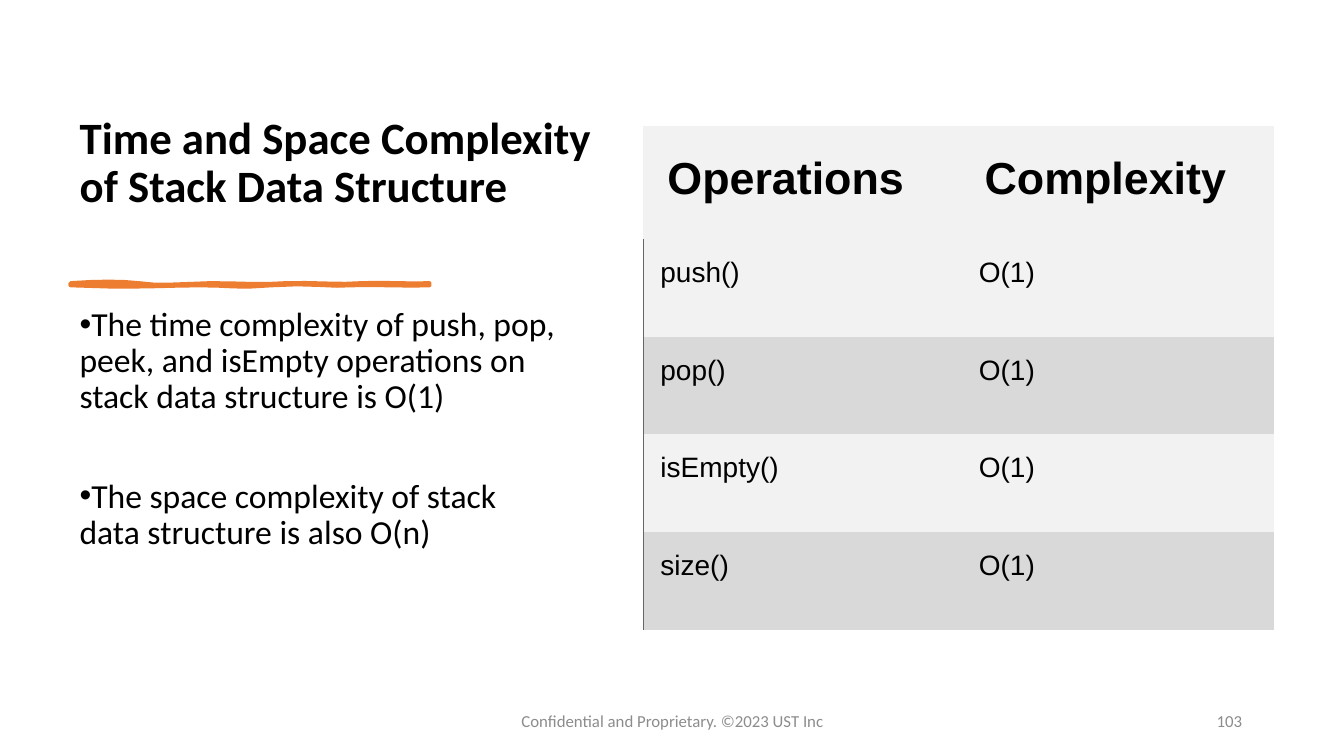
"""Build the slide on the time and space complexity of a stack."""
from dataclasses import dataclass

from lxml.etree import SubElement
from pptx import Presentation
from pptx.dml.color import RGBColor
from pptx.enum.text import MSO_ANCHOR, MSO_AUTO_SIZE, PP_ALIGN
from pptx.oxml.ns import qn
from pptx.util import Inches, Pt

COLORS = {"text": "000000", "muted": "8C8C8C", "accent": "ED7D31",
          "light": "F2F2F2", "dark": "D9D9D9", "border": "666666"}
SLIDE_W, SLIDE_H = Inches(13.33), Inches(7.5)
NO_GRID_STYLE = "{2D5ABB26-0587-4C30-8999-92F81FD0307C}"


@dataclass
class Box:
    """A frame in percent of the slide's width and height."""
    left: float
    top: float
    width: float
    height: float

    def emu(self) -> tuple:
        return (across(self.left), down(self.top),
                across(self.width), down(self.height))


@dataclass
class FooterItem:
    text: str
    box: Box
    align: PP_ALIGN


TITLE = "Time and Space Complexity of Stack Data Structure"
TITLE_BOX = Box(5.18, 9.33, 39.68, 25.07)
BODY_BOX = Box(5.18, 40, 37.5, 50.67)
POINTS = ["The time complexity of push, pop, peek, and isEmpty operations "
          "on stack data structure is O(1)",
          "The space complexity of stack data structure is also O(n)"]
FOOTER = [
    FooterItem("Confidential and Proprietary. ©2023 UST Inc",
               Box(33.16, 92.67, 33.76, 5.33), PP_ALIGN.CENTER),
    FooterItem("103", Box(70.67, 92.67, 22.5, 5.33), PP_ALIGN.RIGHT),
]
TABLE_BOX = Box(47.86, 16.67, 46.96, 66.63)
COLUMNS = [23.7, 23.26]
HEADER_ROW, BODY_ROW = 14.95, 12.92
HEADERS = ["Operations", "Complexity"]
OPERATIONS = ["push()", "pop()", "isEmpty()", "size()"]

STROKE_BOX = Box(5.25, 37.2, 26.7, 0.93)
STROKE_STEPS = 7
STROKE_START = (0, 2)
STROKE_CURVES = [
    ((0.08, 0), (0.14, 0), (0.19, 2)),
    ((0.24, 5), (0.3, 3), (0.39, 2)),
    ((0.48, 2), (0.53, 4), (0.6, 2)),
    ((0.67, 1), (0.76, 4), (0.81, 2)),
    ((0.87, 1), (0.96, 3), (1, 2)),
    ((1, 3), (1, 4), (1, 4)),
    ((0.95, 5), (0.83, 3), (0.78, 4)),
    ((0.74, 6), (0.66, 1), (0.56, 4)),
    ((0.46, 7), (0.45, 4), (0.36, 4)),
    ((0.27, 4), (0.17, 7), (0, 4)),
]


def across(percent: float) -> int:
    return round(SLIDE_W * percent / 100)


def down(percent: float) -> int:
    return round(SLIDE_H * percent / 100)


def rgb(name: str) -> RGBColor:
    return RGBColor.from_string(COLORS[name])


def format_text(p, size: float, color: str = "text", font: str = "Calibri",
                bold: bool = False) -> None:
    for r in p.runs:
        r.font.name, r.font.size, r.font.bold = font, Pt(size), bold
        r.font.color.rgb = rgb(color)


def add_text_box(slide, box: Box):
    tf = slide.shapes.add_textbox(*box.emu()).text_frame
    tf.word_wrap = True
    return tf


def add_title(slide) -> None:
    sp = slide.shapes.title
    sp.left, sp.top, sp.width, sp.height = TITLE_BOX.emu()
    tf = sp.text_frame
    tf.text = TITLE
    tf.word_wrap, tf.auto_size = True, MSO_AUTO_SIZE.NONE
    tf.vertical_anchor, tf.margin_bottom = MSO_ANCHOR.BOTTOM, Inches(0.47)
    p = tf.paragraphs[0]
    p.alignment, p.line_spacing = PP_ALIGN.LEFT, 0.9
    format_text(p, 32, bold=True)


def add_stroke(slide) -> None:
    left, top, width, height = STROKE_BOX.emu()

    def place(u: float, v: float) -> tuple:
        return left + u * width, top + v * height / STROKE_STEPS

    outline, start = [], STROKE_START
    for c1, c2, end in STROKE_CURVES:
        for t in (0.25, 0.5, 0.75, 1):
            s = 1 - t
            u, v = (s**3 * a + 3 * s * s * t * b + 3 * s * t * t * c + t**3 * d
                    for a, b, c, d in zip(start, c1, c2, end))
            outline.append(place(u, v))
        start = end
    builder = slide.shapes.build_freeform(*place(*STROKE_START))
    builder.add_line_segments(outline, close=True)
    sp = builder.convert_to_shape()
    sp.shadow.inherit = False
    sp.fill.solid()
    sp.fill.fore_color.rgb = rgb("accent")
    sp.line.color.rgb = rgb("accent")
    sp.line.width = Pt(3)
    SubElement(sp.line._get_or_add_ln(), qn("a:round"))


def add_points(slide) -> None:
    tf = add_text_box(slide, BODY_BOX)
    for i, text in enumerate(POINTS):
        p = tf.add_paragraph() if i else tf.paragraphs[0]
        p.text = text
        pPr = p._p.get_or_add_pPr()
        pPr.set("marL", "0")
        pPr.set("indent", str(-Inches(0.25)))
        SubElement(pPr, qn("a:buFont"), typeface="Arial")
        SubElement(pPr, qn("a:buChar"), char="•")
        p.line_spacing = 0.9
        if i:
            p.space_before = Pt(45)
        format_text(p, 24)


def add_footer(slide, item: FooterItem) -> None:
    tf = add_text_box(slide, item.box)
    tf.text = item.text
    tf.vertical_anchor = MSO_ANCHOR.MIDDLE
    p = tf.paragraphs[0]
    p.alignment = item.align
    format_text(p, 12, "muted")


def fill_cell(cell, text: str, fill: str, header: bool, first: bool) -> None:
    cell.text = text
    cell.margin_left, cell.margin_top = Inches(0.17), Inches(0.05)
    cell.margin_right = Inches(0.5 if header and first else 0.42)
    cell.margin_bottom = Inches(0.35)
    cell.vertical_anchor = MSO_ANCHOR.BOTTOM if header else MSO_ANCHOR.MIDDLE
    p = cell.text_frame.paragraphs[0]
    p.alignment = PP_ALIGN.CENTER if header else PP_ALIGN.LEFT
    format_text(p, 32 if header else 20, font="Arial", bold=header)
    if first and not header:
        ln = SubElement(cell._tc.get_or_add_tcPr(), qn("a:lnL"), w=str(Pt(0.75)))
        solid = SubElement(ln, qn("a:solidFill"))
        SubElement(solid, qn("a:srgbClr"), val=COLORS["border"])
    cell.fill.solid()
    cell.fill.fore_color.rgb = rgb(fill)


def add_complexity_table(slide) -> None:
    rows = [HEADERS] + [[name, "O(1)"] for name in OPERATIONS]
    table = slide.shapes.add_table(len(rows), len(COLUMNS), *TABLE_BOX.emu()).table
    table._tbl.tblPr.find(qn("a:tableStyleId")).text = NO_GRID_STYLE
    table.horz_banding = False
    for column, width in zip(table.columns, COLUMNS):
        column.width = across(width)
    for i, row in enumerate(rows):
        table.rows[i].height = down(BODY_ROW if i else HEADER_ROW)
        fill = "dark" if i and i % 2 == 0 else "light"
        for j, text in enumerate(row):
            fill_cell(table.cell(i, j), text, fill, i == 0, j == 0)


def main() -> None:
    prs = Presentation()
    prs.slide_width, prs.slide_height = SLIDE_W, SLIDE_H
    slide = prs.slides.add_slide(prs.slide_layouts[5])
    add_title(slide)
    add_stroke(slide)
    add_points(slide)
    for item in FOOTER:
        add_footer(slide, item)
    add_complexity_table(slide)
    prs.save("out.pptx")


if __name__ == "__main__":
    main()
